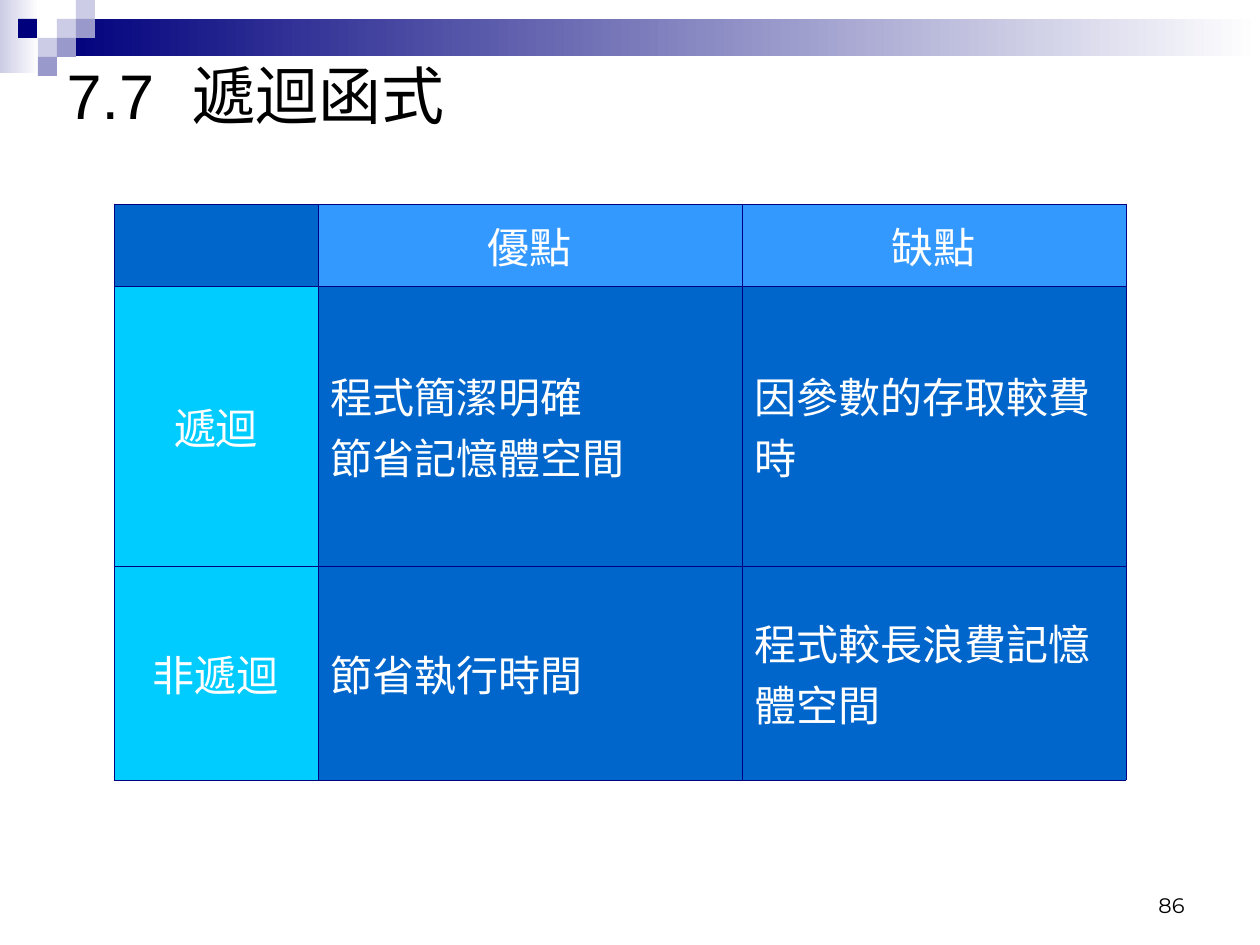
from typing import NamedTuple

import pptx
import pptx.dml.color
import pptx.enum.shapes
import pptx.enum.text
import pptx.oxml
import pptx.oxml.ns
import pptx.util
from lxml import etree

EMU_PER_PX = 914400 / 126
COLOURS = {
    "white": "FFFFFF", "black": "000000", "navy": "00007D",
    "lavender": "CCCCE6", "violet": "9999CC", "border": "000080",
    "body": "0066CC", "column_head": "3399FF", "row_head": "00CCFF",
}
ALIGN = pptx.enum.text.PP_ALIGN
ANCHOR = pptx.enum.text.MSO_ANCHOR


class Block(NamedTuple):
    left: int
    top: int
    width: int
    height: int
    colour: str
    fades: bool = False


SQUARE = 19
BANDS = [
    Block(0, 0, 39, 73, "lavender", True),
    Block(57, 19, 1203, 37, "navy", True),
]
SQUARES = [
    Block(left, top, SQUARE, SQUARE, colour)
    for left, top, colour in [
        (57, 19, "lavender"), (76, 0, "lavender"), (76, 19, "violet"),
        (38, 38, "lavender"), (18, 19, "navy"), (57, 38, "violet"),
        (38, 57, "violet"),
    ]
]

COLUMN_WIDTHS = [204, 424, 384]
ROW_HEIGHTS = [82, 280, 214]
COMPARISON = [
    ["", "優點", "缺點"],
    ["遞迴", "程式簡潔明確 \v節省記憶體空間", "因參數的存取較費時"],
    ["非遞迴", "節省執行時間", "程式較長浪費記憶體空間"],
]


def px(length: int) -> pptx.util.Emu:
    return pptx.util.Emu(round(length * EMU_PER_PX))


def rgb(name: str) -> pptx.dml.color.RGBColor:
    return pptx.dml.color.RGBColor.from_string(COLOURS[name])


def style(paragraph, font_name: str, size: int, colour: str, align) -> None:
    paragraph.alignment = align
    for run in paragraph.runs:
        run.font.name = font_name
        run.font.size = pptx.util.Pt(size)
        run.font.color.rgb = rgb(colour)


def draw_block(slide, block: Block) -> None:
    shape = slide.shapes.add_shape(
        pptx.enum.shapes.MSO_SHAPE.RECTANGLE,
        px(block.left), px(block.top), px(block.width), px(block.height))
    shape.shadow.inherit = False
    shape.line.fill.background()
    if block.fades:
        shape.fill.gradient()
        shape.fill.gradient_angle = 180
        for stop, colour in zip(shape.fill.gradient_stops, ("white", block.colour)):
            stop.color.rgb = rgb(colour)
    else:
        shape.fill.solid()
        shape.fill.fore_color.rgb = rgb(block.colour)


def draw_title(slide) -> None:
    title = slide.shapes.title
    title.left, title.top, title.width, title.height = px(54), px(0), px(1134), px(189)
    frame = title.text_frame
    frame.text = "7.7\t遞迴函式"
    frame.auto_size = pptx.enum.text.MSO_AUTO_SIZE.NONE
    frame.vertical_anchor = ANCHOR.MIDDLE
    heading = frame.paragraphs[0]
    properties = heading._p.get_or_add_pPr()
    tabs = etree.SubElement(properties, pptx.oxml.ns.qn("a:tabLst"))
    for inch in range(8):
        etree.SubElement(tabs, pptx.oxml.ns.qn("a:tab"),
                         pos=str(px(126 * inch)), algn="l")
    style(heading, "Arial", 36, "black", ALIGN.LEFT)


def add_borders(cell) -> None:
    properties = cell._tc.get_or_add_tcPr()
    for index, side in enumerate(("lnL", "lnR", "lnT", "lnB")):
        border = pptx.oxml.parse_xml(
            f'<a:{side} {pptx.oxml.ns.nsdecls("a")} w="{pptx.util.Pt(0.45)}">'
            f'<a:solidFill><a:srgbClr val="{COLOURS["border"]}"/></a:solidFill>'
            f'</a:{side}>')
        properties.insert(index, border)


def fill_colour(row: int, column: int) -> str:
    if row == 0 and column > 0:
        return "column_head"
    return "row_head" if row > 0 and column == 0 else "body"


def draw_comparison(slide) -> None:
    table = slide.shapes.add_table(
        len(ROW_HEIGHTS), len(COLUMN_WIDTHS), px(114), px(204),
        px(sum(COLUMN_WIDTHS)), px(sum(ROW_HEIGHTS))).table
    for column, width in zip(table.columns, COLUMN_WIDTHS):
        column.width = px(width)
    for row, height in zip(table.rows, ROW_HEIGHTS):
        row.height = px(height)
    for r, texts in enumerate(COMPARISON):
        for c, text in enumerate(texts):
            cell = table.cell(r, c)
            cell.fill.solid()
            cell.fill.fore_color.rgb = rgb(fill_colour(r, c))
            add_borders(cell)
            cell.vertical_anchor = ANCHOR.MIDDLE
            paragraph = cell.text_frame.paragraphs[0]
            paragraph.text = text
            is_head = r == 0 or c == 0
            style(paragraph, "Times New Roman", 24, "white",
                  ALIGN.CENTER if is_head else ALIGN.LEFT)


def draw_page_number(slide) -> None:
    frame = slide.shapes.add_textbox(px(903), px(861), px(294), px(63)).text_frame
    frame.word_wrap = True
    frame.vertical_anchor = ANCHOR.BOTTOM
    frame.text = "86"
    style(frame.paragraphs[0], "Montserrat", 12, "black", ALIGN.RIGHT)


def main() -> None:
    deck = pptx.Presentation()
    deck.slide_width, deck.slide_height = px(1260), px(945)
    slide = deck.slides.add_slide(deck.slide_layouts[5])
    for block in BANDS + SQUARES:
        draw_block(slide, block)
    draw_title(slide)
    draw_comparison(slide)
    draw_page_number(slide)
    deck.save("out.pptx")


if __name__ == "__main__":
    main()
